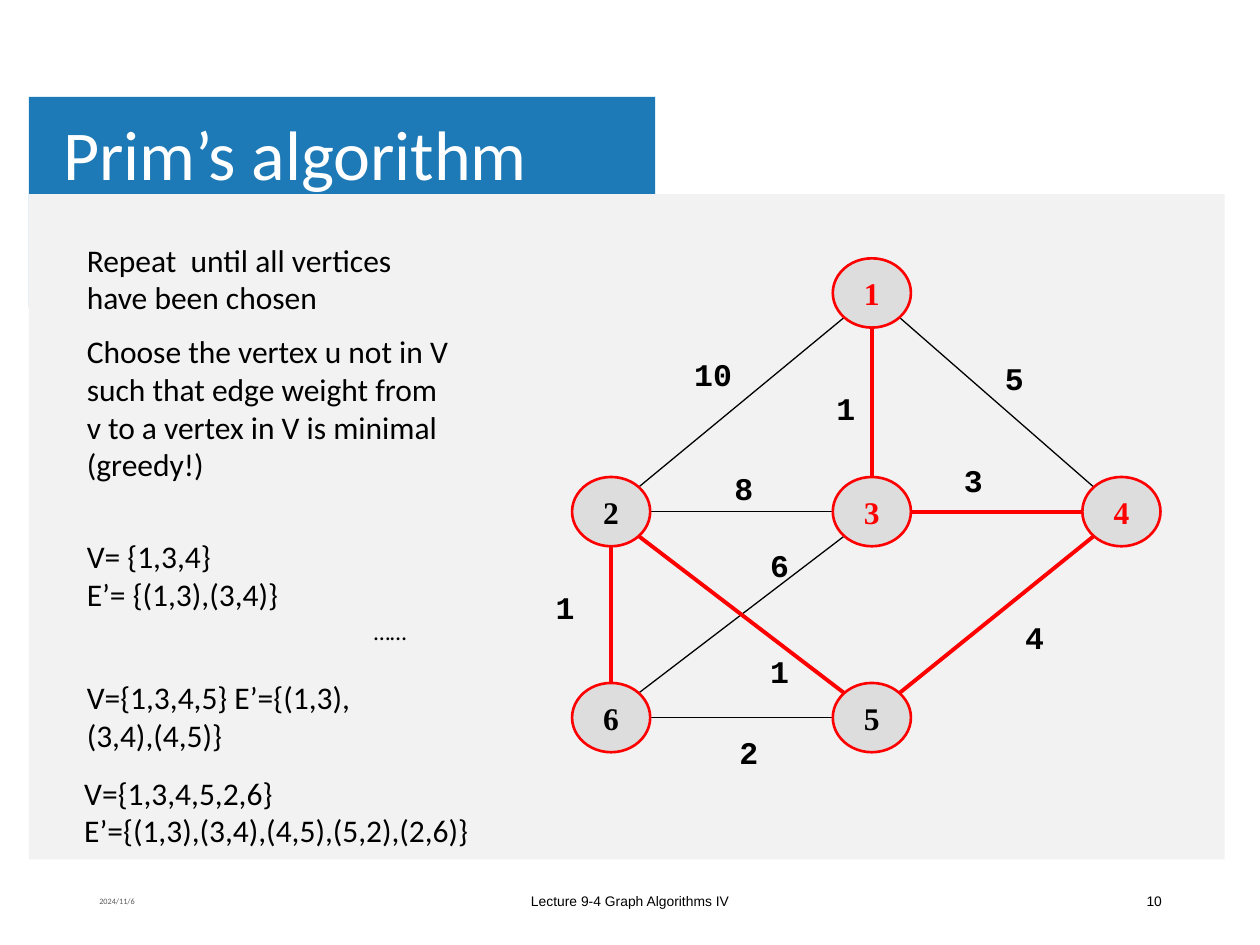
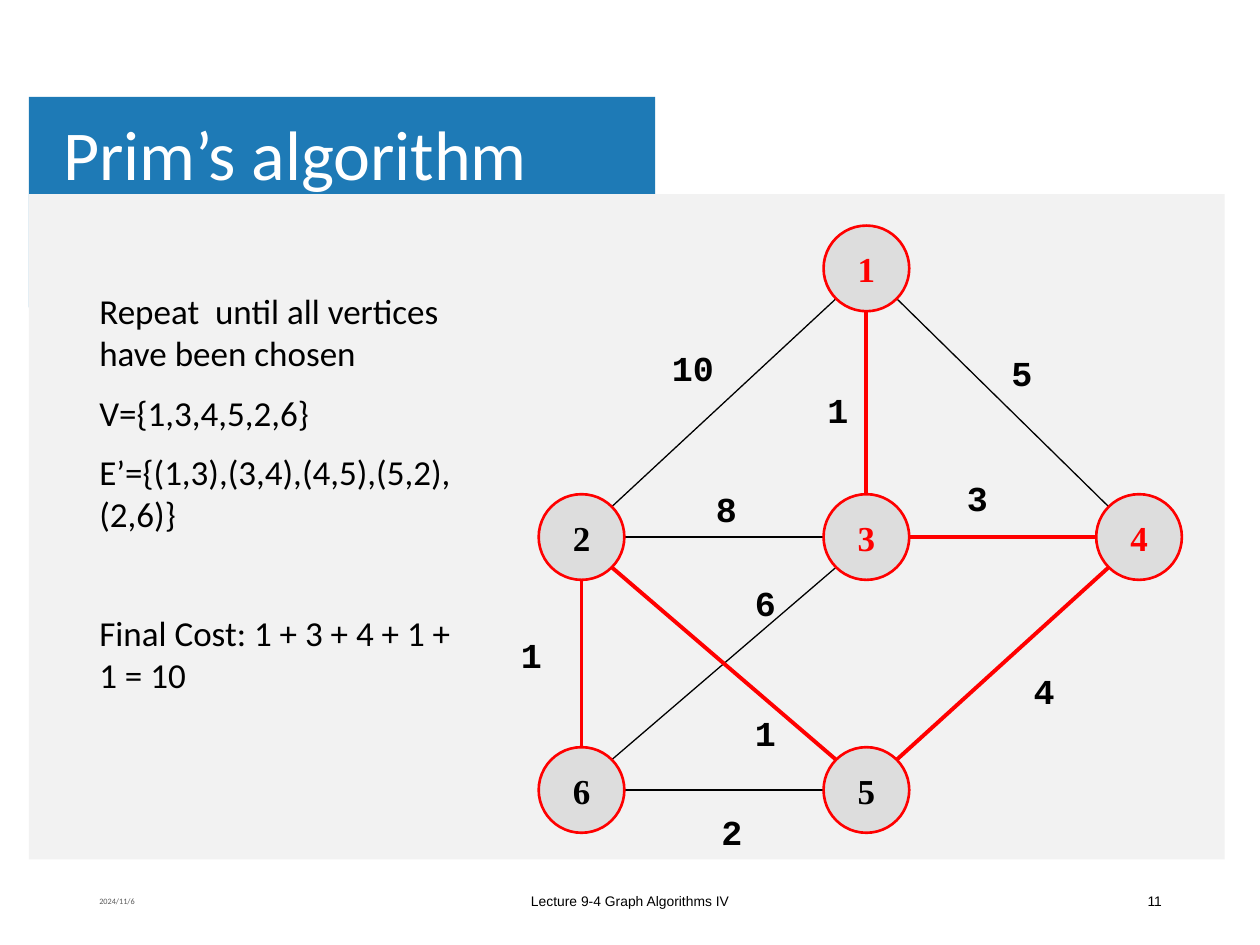
from dataclasses import dataclass
from math import hypot

from lxml import etree
from pptx import Presentation
from pptx import util as u
from pptx.dml.color import RGBColor
from pptx.enum import shapes, text
from pptx.oxml.ns import qn

LEFT, MID, RIGHT = text.PP_ALIGN.LEFT, text.PP_ALIGN.CENTER, text.PP_ALIGN.RIGHT
TOP, CORE = text.MSO_ANCHOR.TOP, text.MSO_ANCHOR.MIDDLE


@dataclass(frozen=True)
class Theme:
    blue: str = "1E7AB6"
    panel: str = "F2F2F2"
    node: str = "DDDDDD"
    red: str = "FF0000"
    black: str = "000000"
    white: str = "FFFFFF"
    gray: str = "595959"
    body: str = "Calibri"
    foot: str = "Arial"
    digit: str = "Times New Roman"
    mono: str = "Courier New"
    head: float = 40
    small: float = 7.9
    tiny: float = 4.7
    dots: float = 13.5
    thin: float = 0.75
    rim: float = 1.5
    bold: float = 2.25


T = Theme()
COLS, ROWS = 100, 75  # cells of the slide grid

# Graph plan: vertex -> (column, row), as steps into the shares below
XS, YS = (0, 0.511, 1), (0, 0.515, 1)
NODES = {1: (1, 0), 2: (0, 1), 3: (1, 1), 4: (2, 1), 5: (1, 2), 6: (0, 2)}
CHOSEN = {1, 3, 4}
# Edge: ends, weight, centre of its label (shares of the graph), in the tree?
EDGES = [
    (1, 2, "10", 0.2, 0.19, False),
    (1, 3, "1", 0.46, 0.27, True),
    (1, 4, "5", 0.79, 0.2, False),
    (2, 3, "8", 0.26, 0.46, False),
    (3, 4, "3", 0.71, 0.44, True),
    (3, 6, "6", 0.33, 0.64, False),
    (2, 6, "1", -0.09, 0.74, True),
    (2, 5, "1", 0.33, 0.89, True),
    (5, 6, "2", 0.27, 1.08, False),
    (4, 5, "4", 0.83, 0.81, True),
]


def rgb(tone):
    return RGBColor.from_string(tone)


def sign(n):
    return (n > 0) - (n < 0)


def write(frame, lines, font=T.body, size=18, tone=T.black, bold=False,
          align=LEFT, anchor=TOP, wrap=True, lead=None, pads=(0.1, 0.05)):
    """Fill a frame; each line is a string or a (string, space before) pair."""
    frame.word_wrap, frame.vertical_anchor = wrap, anchor
    frame.auto_size = text.MSO_AUTO_SIZE.NONE
    frame.margin_left = frame.margin_right = u.Inches(pads[0])
    frame.margin_top = frame.margin_bottom = u.Inches(pads[1])
    for i, line in enumerate([lines] if isinstance(lines, str) else lines):
        words, gap = (line, 0) if isinstance(line, str) else line
        para = frame.add_paragraph() if i else frame.paragraphs[0]
        para.alignment, para.space_before = align, u.Pt(gap)
        if lead:
            para.line_spacing = lead
        run = para.add_run()
        run.text = words
        run.font.name, run.font.size = font, u.Pt(size)
        run.font.bold, run.font.color.rgb = bold, rgb(tone)


class Deck:
    def __init__(self):
        self.prs = Presentation()
        self.prs.slide_width, self.prs.slide_height = u.Inches(10), u.Inches(7.5)
        self.slide = None

    def grid(self, x, y):
        return (round(self.prs.slide_width * x / COLS),
                round(self.prs.slide_height * y / ROWS))

    def box(self, x, y, w, h):
        return *self.grid(x, y), *self.grid(w, h)

    def shape(self, kind, at, fill, line=None):
        form = self.slide.shapes.add_shape(kind, *self.box(*at))
        form.shadow.inherit = False
        form.fill.solid()
        form.fill.fore_color.rgb = rgb(fill)
        if line:
            form.line.color.rgb, form.line.width = rgb(line), u.Pt(T.rim)
        else:
            form.line.fill.background()
        return form

    def label(self, at, lines, **style):
        area = self.slide.shapes.add_textbox(*self.box(*at))
        write(area.text_frame, lines, **style)

    def line(self, start, end, tone, width):
        link = self.slide.shapes.add_connector(
            shapes.MSO_CONNECTOR.STRAIGHT, *self.grid(*start), *self.grid(*end))
        link.line.color.rgb, link.line.width = rgb(tone), u.Pt(width)
        etree.SubElement(link._element.spPr, qn("a:effectLst"))

    def title(self, words):
        head = self.slide.shapes.title
        head.left, head.top, head.width, head.height = self.box(4.3, 7.6, 80.3, 9.8)
        write(head.text_frame, words, size=T.head, tone=T.white, anchor=CORE,
              lead=0.9, pads=(0.07, 0.04))
        head._element.getparent().append(head._element)  # in front of the bands

    def page(self, words, number):
        self.slide = self.prs.slides.add_slide(self.prs.slide_layouts[5])
        # Bands and title
        rect = shapes.MSO_SHAPE.RECTANGLE
        self.shape(rect, (2.3, 7.7, 49.7, 16.7), T.blue)
        self.shape(rect, (2.3, 15.4, 94.9, 52.8), T.panel)
        self.title(words)
        # Footer
        foot = dict(font=T.foot, size=T.small, anchor=CORE)
        self.label((6.9, 69.5, 22.5, 4), "2024/11/6", size=T.tiny,
                   tone=T.gray, anchor=CORE)
        self.label((33.1, 69.5, 33.8, 4), "Lecture 9-4 Graph Algorithms IV",
                   align=MID, **foot)
        self.label((70.7, 69.5, 22.5, 4), str(number), align=RIGHT, **foot)

    def graph(self, left, top, wide, high, node, size):
        """Draw the graph; the frame runs through the outer vertex centres."""
        rx, ry = node[0] / 2, node[1] / 2

        def spot(x, y):
            return left + wide * x, top + high * y

        def centre(v):
            col, row = NODES[v]
            return spot(XS[col], YS[row])

        def edge(v, to):
            dx, dy = (sign(b - a) for a, b in zip(NODES[v], NODES[to]))
            far = hypot(dx, dy)
            x, y = centre(v)
            return x + rx * dx / far, y + ry * dy / far

        # Edges, the tree on top
        for a, b, *_, tree in sorted(EDGES, key=lambda e: e[-1]):
            self.line(edge(a, b), edge(b, a), T.red if tree else T.black,
                      T.bold if tree else T.thin)
        # Weights
        for _, _, cost, sx, sy, _ in EDGES:
            x, y = spot(sx, sy)
            self.label((x - 4, y - 2.1, 8, 4.2), cost, font=T.mono, size=size,
                       bold=True, align=MID, anchor=CORE)
        # Vertices
        for v in NODES:
            x, y = centre(v)
            disc = self.shape(shapes.MSO_SHAPE.OVAL,
                              (x - rx, y - ry, *node), T.node, T.red)
            write(disc.text_frame, str(v), font=T.digit, size=size, bold=True,
                  tone=T.red if v in CHOSEN else T.black, align=MID,
                  anchor=CORE, wrap=False)


def main():
    deck = Deck()
    name, goal = "Prim’s algorithm", "Repeat  until all vertices have been chosen"
    verts, tree = "V={1,3,4,5,2,6}", "E’={(1,3),(3,4),(4,5),(5,2),(2,6)}"

    # Steps of the search
    deck.page(name, 10)
    deck.label((5.9, 18.6, 30.8, 38.9), [
        goal,
        ("Choose the vertex u not in V such that edge weight from v to a "
         "vertex in V is minimal (greedy!)", 9),
        ("V= {1,3,4}", 31),
        "E’= {(1,3),(3,4)}"])
    deck.label((28.7, 48.5, 6, 3.3), "……", size=T.dots)
    deck.label((5.9, 53.3, 28.1, 7.1), "V={1,3,4,5} E’={(1,3),(3,4),(4,5)}")
    deck.label((5.7, 60.9, 41.1, 7.1), [verts, tree])
    deck.graph(48.5, 23.25, 40.5, 33.7, node=(6.2, 5.5), size=18)

    # Result and cost
    deck.page(name, 11)
    deck.label((6.9, 22.5, 30.8, 42.5), [
        goal, (verts, 10), (tree, 10),
        ("Final Cost: 1 + 3 + 4 + 1 + 1 = 10", 44)], size=20)
    deck.graph(46.15, 21.3, 44.25, 41.4, node=(6.8, 6.8), size=20)

    deck.prs.save("out.pptx")


if __name__ == "__main__":
    main()
